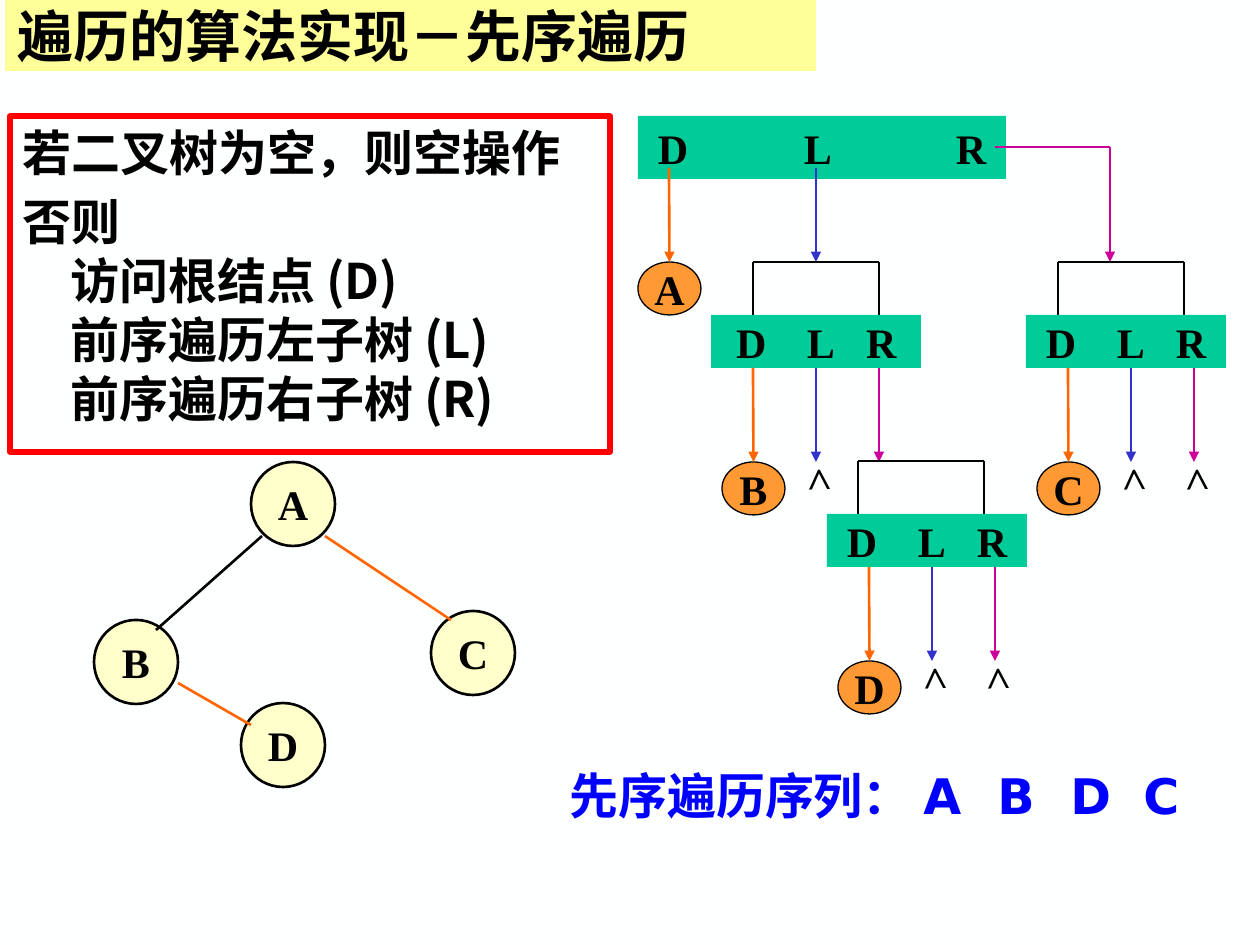
import pptx
import pptx.dml.color
import pptx.enum.shapes
import pptx.enum.text
import pptx.oxml.ns
import pptx.util
from lxml import etree

EMU_PER_PX = 914400 / 126
COLORS = {
    "background": "FEFFFF", "title": "FFFF99", "rule": "FF0000",
    "call": "00CC99", "visit": "FF9933", "node": "FFFFCC",
    "ink": "000000", "D": "FF6600", "L": "3333CC", "R": "CC0099",
    "result": "0000FF",
}
SERIF, CJK, SANS = "Times New Roman", "Noto Sans CJK SC", "DejaVu Sans"
SHAPE = pptx.enum.shapes.MSO_SHAPE
MIDDLE = pptx.enum.text.MSO_ANCHOR.MIDDLE
CENTER = pptx.enum.text.PP_ALIGN.CENTER
LEFT = pptx.enum.text.PP_ALIGN.LEFT
CHILD_GAP = 63


def px(n):
    return pptx.util.Emu(round(n * EMU_PER_PX))


def rgb(key):
    return pptx.dml.color.RGBColor.from_string(COLORS[key])


def add_xml(parent, tag, **attributes):
    return etree.SubElement(parent, pptx.oxml.ns.qn(tag), attributes)


def add_tabs(paragraph, stops):
    tabs = add_xml(paragraph._p.get_or_add_pPr(), "a:tabLst")
    for stop in stops:
        add_xml(tabs, "a:tab", pos=str(px(stop)), algn="l")


def style(paragraph, size, face, color="ink", align=LEFT):
    paragraph.alignment = align
    font = paragraph.font
    font.size, font.name, font.bold = pptx.util.Pt(size), face, True
    font.color.rgb = rgb(color)


def add_block(slide, kind, x, y, w, h, fill=None, line=None, weight=1.5):
    block = slide.shapes.add_shape(kind, px(x), px(y), px(w), px(h))
    block.shadow.inherit = False
    if fill:
        block.fill.solid()
        block.fill.fore_color.rgb = rgb(fill)
    else:
        block.fill.background()
    if line:
        block.line.color.rgb = rgb(line)
        block.line.width = pptx.util.Pt(weight)
    else:
        block.line.fill.background()
    return block


def add_circle(slide, letter, x, y, w, h, fill, weight):
    circle = add_block(slide, SHAPE.OVAL, x, y, w, h, fill, "ink", weight)
    frame = circle.text_frame
    frame.word_wrap, frame.vertical_anchor = False, MIDDLE
    frame.text = letter
    style(frame.paragraphs[0], 24, SERIF, align=CENTER)
    return circle


def add_line(slide, x1, y1, x2, y2, color="ink", arrow=False):
    line = slide.shapes.add_connector(
        pptx.enum.shapes.MSO_CONNECTOR.STRAIGHT, px(x1), px(y1), px(x2), px(y2))
    line.line.color.rgb = rgb(color)
    line.line.width = pptx.util.Pt(1.5)
    properties = line._element.spPr
    if arrow:
        add_xml(properties.find(pptx.oxml.ns.qn("a:ln")), "a:tailEnd", type="triangle")
    add_xml(properties, "a:effectLst")
    return line


def add_call(slide, x, y, w, h, inset, stops):
    """Green bar with the three steps D, L and R."""
    call = add_block(slide, SHAPE.RECTANGLE, x, y, w, h, "call")
    frame = call.text_frame
    frame.word_wrap, frame.vertical_anchor = False, MIDDLE
    frame.margin_left, frame.margin_right = px(inset), 0
    frame.text = "D\tL\tR"
    add_tabs(frame.paragraphs[0], stops)
    style(frame.paragraphs[0], 24, SERIF)
    return call


def add_visit(slide, letter, x, y, start_y):
    """Visited node with the D arrow that reaches its top."""
    visit = add_circle(slide, letter, x - 31, y, 63, 53, "visit", 0.75)
    arrow = add_line(slide, x, start_y, x, y, "D", True)
    arrow.end_connect(visit, 0)


def add_empty_mark(slide, x, y):
    """Turned angle sign that marks an empty subtree."""
    mark = slide.shapes.add_textbox(px(x - 26), px(y - 16), px(53), px(63))
    mark.rotation = 268.3
    mark.text_frame.word_wrap = True
    mark.text_frame.text = ">"
    style(mark.text_frame.paragraphs[0], 24, SERIF)


def add_subtree(slide, letter, x, y, w, bracket_x, first_x, empty):
    """Bracket, call bar and the three arrows below it."""
    bracket_end, top = bracket_x + 2 * CHILD_GAP, y - 53
    add_line(slide, bracket_x, top, bracket_end, top)
    for side in (bracket_x, bracket_end):
        add_line(slide, side, top, side, y)
    call = add_call(slide, x, y, w, 53, (w - 160) // 2, (71, 130))
    bottom, tip = y + 53, y + 147
    add_visit(slide, letter, first_x, tip, bottom)
    for i, step in enumerate("LR", 1):
        child_x = first_x + i * CHILD_GAP
        arrow = add_line(slide, child_x, bottom, child_x, tip, step, True)
        if child_x == x + w / 2:
            arrow.begin_connect(call, 2)
        if step in empty:
            add_empty_mark(slide, child_x, tip)


def add_recursion(slide):
    # Root call: D visits A, L goes down, R turns to the right
    add_call(slide, 638, 116, 368, 63, 20, (146, 298))
    add_visit(slide, "A", 669, 262, 168)
    add_line(slide, 816, 168, 816, 262, "L", True)
    add_line(slide, 995, 147, 1110, 147, "R")
    add_line(slide, 1110, 147, 1110, 262, "R", True)
    # Nested calls
    add_subtree(slide, "B", 711, 315, 210, 753, 753, "L")
    add_subtree(slide, "D", 827, 514, 200, 858, 869, "LR")
    add_subtree(slide, "C", 1026, 315, 200, 1058, 1068, "LR")


def add_tree(slide):
    nodes = {"A": (251, 462), "D": (241, 703), "B": (94, 620), "C": (431, 611)}
    for letter, (x, y) in nodes.items():
        add_circle(slide, letter, x, y, 84, 84, "node", 1.5)
    add_line(slide, 262, 536, 156, 630)
    add_line(slide, 325, 536, 451, 620, "D")
    add_line(slide, 178, 683, 251, 725, "D")


def add_result(slide):
    result = slide.shapes.add_textbox(px(557), px(759), px(654), px(72))
    frame = result.text_frame
    frame.word_wrap = True
    frame.text = "先序遍历序列：\tA\tB\tD\tC"
    add_tabs(frame.paragraphs[0], (354, 428, 501, 574))
    style(frame.paragraphs[0], 28, SANS, "result")


def add_algorithm(slide):
    box = add_block(slide, SHAPE.RECTANGLE, 10, 116, 600, 336, None, "rule", 3)
    frame = box.text_frame
    frame.word_wrap, frame.vertical_anchor = True, pptx.enum.text.MSO_ANCHOR.TOP
    frame.text = ("若二叉树为空，则空操作\n"
                  "否则\v访问根结点 (D)\v前序遍历左子树 (L)\v前序遍历右子树 (R)")
    for paragraph in frame.paragraphs:
        indent = paragraph._p.get_or_add_pPr()
        indent.set("marL", str(px(48)))
        indent.set("indent", str(-px(48)))
        style(paragraph, 28, CJK)
    frame.paragraphs[1].space_before = pptx.util.Pt(6)


def add_title(slide):
    title = add_block(slide, SHAPE.RECTANGLE, 5, 0, 811, 71, "title")
    frame = title.text_frame
    frame.word_wrap, frame.vertical_anchor = True, MIDDLE
    frame.text = "遍历的算法实现－先序遍历"
    style(frame.paragraphs[0], 32, CJK)


def main():
    deck = pptx.Presentation()
    deck.slide_width, deck.slide_height = px(1260), px(945)
    slide = deck.slides.add_slide(deck.slide_layouts[6])
    slide.background.fill.solid()
    slide.background.fill.fore_color.rgb = rgb("background")
    add_recursion(slide)
    add_tree(slide)
    add_result(slide)
    add_algorithm(slide)
    add_title(slide)
    deck.save("out.pptx")


if __name__ == "__main__":
    main()
